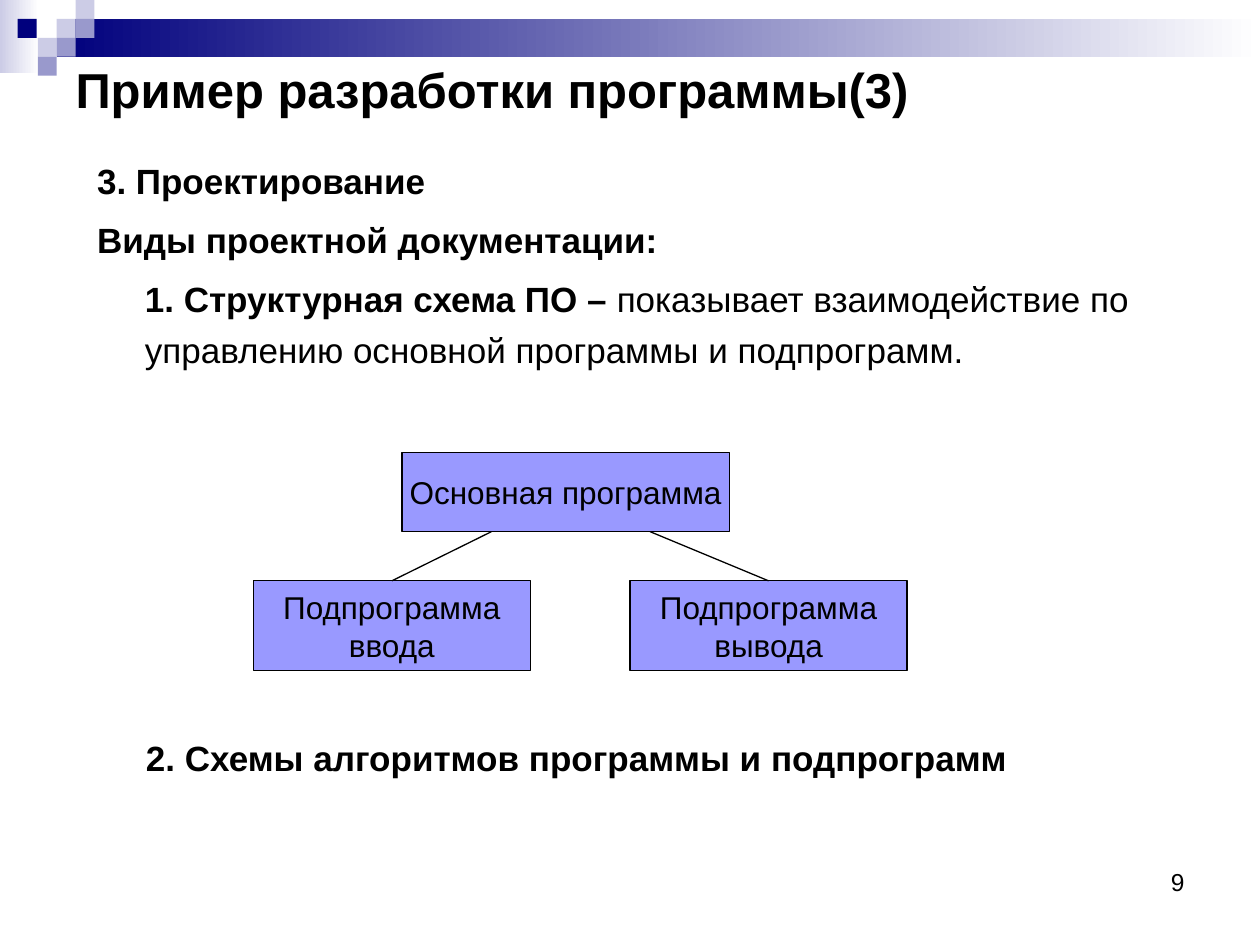
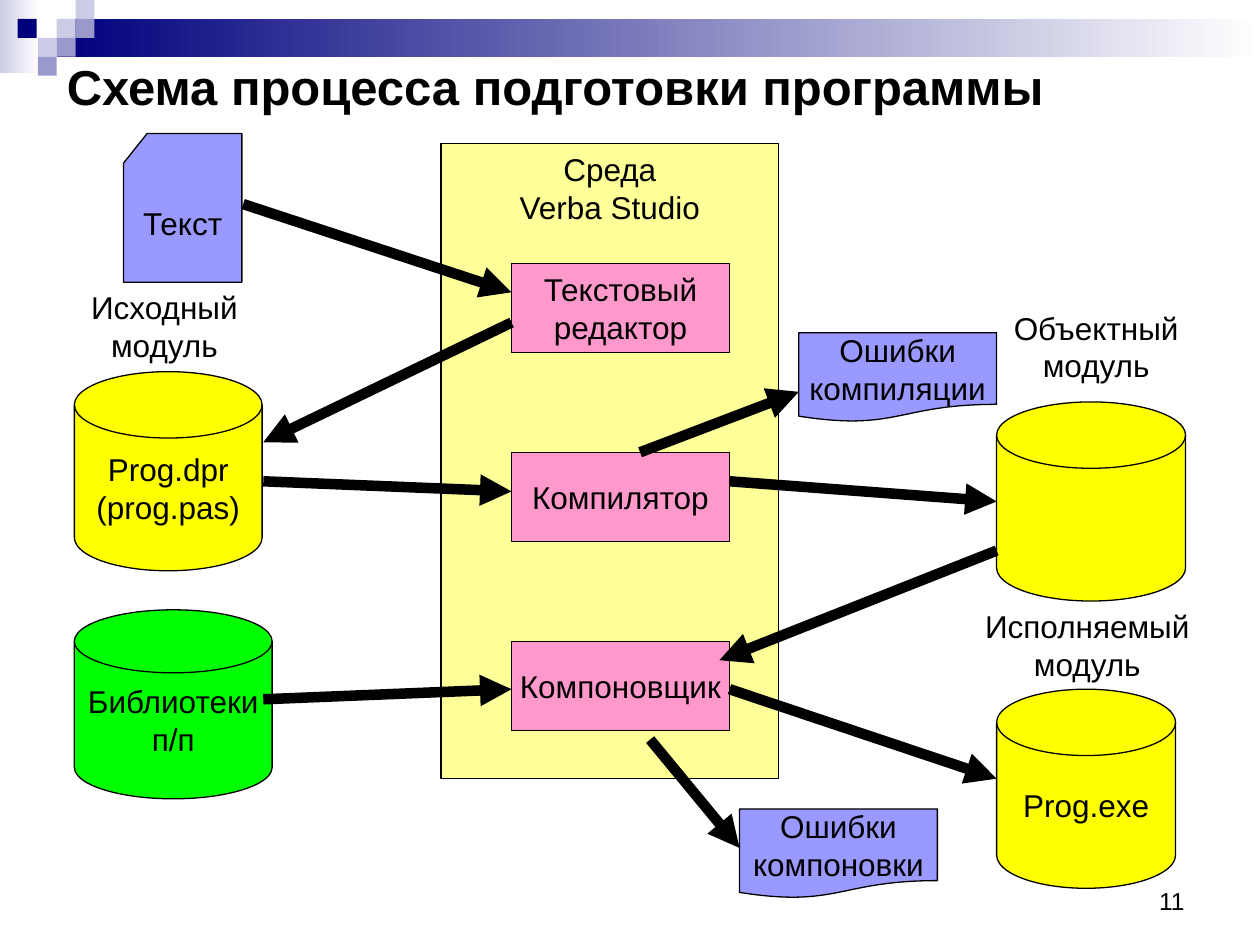
from dataclasses import dataclass

from lxml import etree
from pptx import Presentation
from pptx.dml.color import RGBColor
from pptx.enum.shapes import MSO_CONNECTOR, MSO_SHAPE
from pptx.enum.text import MSO_ANCHOR, MSO_AUTO_SIZE, PP_ALIGN
from pptx.oxml.ns import qn
from pptx.util import Inches, Pt

RECTANGLE = MSO_SHAPE.RECTANGLE
PROCESS = MSO_SHAPE.FLOWCHART_PROCESS
CARD = MSO_SHAPE.FLOWCHART_CARD
DISK = MSO_SHAPE.FLOWCHART_MAGNETIC_DISK
DOCUMENT = MSO_SHAPE.FLOWCHART_DOCUMENT
STRAIGHT = MSO_CONNECTOR.STRAIGHT
TOP, MIDDLE = MSO_ANCHOR.TOP, MSO_ANCHOR.MIDDLE
LEFT, CENTER, RIGHT = PP_ALIGN.LEFT, PP_ALIGN.CENTER, PP_ALIGN.RIGHT
NO_FIT = MSO_AUTO_SIZE.NONE
TITLE_AND_BODY, TITLE_ONLY = 1, 5
TOP_SITE = 0


@dataclass(frozen=True)
class Theme:
    font: str = "Arial"
    ink: str = "000000"
    white: str = "FFFFFF"
    navy: str = "00007D"
    lavender: str = "CCCCE6"
    slate: str = "9999CC"
    periwinkle: str = "9999FF"
    cream: str = "FFFF99"
    pink: str = "FF99CC"
    yellow: str = "FFFF00"
    green: str = "00FF00"
    title_size: int = 28
    body_size: int = 20
    label_size: int = 18
    number_size: int = 14
    thin: float = 0.75
    thick: float = 6


def color(value):
    return RGBColor.from_string(value)


def set_format(target, values):
    for name, value in values.items():
        setattr(target, name, value)


def inches(lengths):
    return [Inches(length) for length in lengths]


class Painter:
    """Holds the deck, its theme and the slide being drawn."""

    def __init__(self, theme):
        self.theme = theme
        self.deck = Presentation()
        set_format(self.deck, {"slide_width": Inches(10), "slide_height": Inches(7.5)})
        self.slide = None

    def start_slide(self, layout, title, place):
        self.slide = self.deck.slides.add_slide(self.deck.slide_layouts[layout])
        box = self.slide.shapes.title
        self.place(box, place)
        self.fill_text(box.text_frame, [title], self.theme.title_size, bold=True, anchor=MIDDLE)

    def place(self, box, place):
        set_format(box, dict(zip(("left", "top", "width", "height"), inches(place))))

    def fill_text(self, frame, lines, size, bold=False, align=LEFT, anchor=TOP,
                  wrap=True, spacing=1.0, gap=0):
        """Fill a frame; a line is a string or a list of (text, bold) spans."""
        set_format(frame, {"auto_size": NO_FIT, "word_wrap": wrap, "vertical_anchor": anchor})
        for index, line in enumerate(lines):
            para = frame.add_paragraph() if index else frame.paragraphs[0]
            set_format(para, {"alignment": align, "line_spacing": spacing,
                              "space_before": Pt(gap if index else 0)})
            for text, is_bold in [(line, bold)] if isinstance(line, str) else line:
                span = para.add_run()
                span.text = text
                set_format(span.font, {"name": self.theme.font, "size": Pt(size), "bold": is_bold})
                span.font.color.rgb = color(self.theme.ink)

    def body(self, lines, indents, place):
        box = self.slide.placeholders[1]
        self.place(box, place)
        self.fill_text(box.text_frame, lines, self.theme.body_size, bold=True, spacing=1.2, gap=5)
        for para, indent in zip(box.text_frame.paragraphs, indents):
            properties = para._p.get_or_add_pPr()
            properties.set("marL", str(Inches(indent)))
            properties.set("indent", "0")
            etree.SubElement(properties, qn("a:buNone"))

    def shape(self, kind, place, fill, lines=(), anchor=MIDDLE):
        shape = self.slide.shapes.add_shape(kind, *inches(place))
        shape.shadow.inherit = False
        shape.fill.solid()
        shape.fill.fore_color.rgb = color(fill)
        shape.line.color.rgb = color(self.theme.ink)
        shape.line.width = Pt(self.theme.thin)
        if lines:
            self.fill_text(shape.text_frame, lines, self.theme.label_size,
                           align=CENTER, anchor=anchor, wrap=False)
        return shape

    def text(self, place, lines, size, **formats):
        box = self.slide.shapes.add_textbox(*inches(place))
        self.fill_text(box.text_frame, lines, size, **formats)

    def page_number(self, number, top):
        self.text((7.17, top, 2.33, 0.52), [number], self.theme.number_size, align=RIGHT)

    def line(self, start, end, width):
        line = self.slide.shapes.add_connector(STRAIGHT, *inches(start + end))
        line.line.color.rgb = color(self.theme.ink)
        line.line.width = Pt(width)
        etree.SubElement(line.element.spPr, qn("a:effectLst"))
        return line

    def arrow(self, start, end):
        line = self.line(start, end, self.theme.thick)
        outline = line.element.spPr.find(qn("a:ln"))
        etree.SubElement(outline, qn("a:tailEnd"), type="triangle")

    def master_band(self):
        """Draw the header band and squares, then move them to the slide master."""
        theme = self.theme
        step = 0.15
        fades = [((0, 0, 0.31, 0.58), theme.lavender), ((0.45, step, 9.55, 0.3), theme.navy)]
        squares = [(0.45, 1, theme.lavender), (0.6, 0, theme.lavender), (0.6, 1, theme.slate),
                   (0.3, 2, theme.lavender), (0.14, 1, theme.navy), (0.45, 2, theme.slate),
                   (0.3, 3, theme.slate)]
        parts = []
        for place, tint in fades:
            fade = self.shape(RECTANGLE, place, tint)
            fade.fill.gradient()
            fade.fill.gradient_angle = 0
            for stop, value in zip(fade.fill.gradient_stops, (tint, theme.white)):
                stop.color.rgb = color(value)
            parts.append(fade)
        for left, row, tint in squares:
            parts.append(self.shape(RECTANGLE, (left, row * step, step, step), tint))
        tree = self.deck.slide_master.shapes.element
        for index, part in enumerate(parts):
            part.line.fill.background()
            part.element.nvSpPr.cNvPr.set("id", str(100 + index))
            tree.insert(2 + index, part.element)


def draw_design_slide(painter):
    theme = painter.theme
    painter.start_slide(TITLE_AND_BODY, "Пример разработки программы(3)", (0.5, 0.5, 9, 0.41))
    painter.master_band()
    painter.body(
        ["3. Проектирование",
         "Виды проектной документации:",
         [("1. Структурная схема ПО – ", True),
          ("показывает взаимодействие по управлению основной программы и подпрограмм.", False)]],
        (0, 0, 0.38), (0.67, 1.15, 9, 2.05))
    painter.shape(RECTANGLE, (3.19, 3.59, 2.6, 0.63), theme.periwinkle, ["Основная программа"])
    for left, purpose, start in ((2.01, "ввода", 3.9), (5, "вывода", 5.16)):
        box = painter.shape(RECTANGLE, (left, 4.61, 2.2, 0.71), theme.periwinkle,
                            ["Подпрограмма", purpose])
        branch = painter.line((start, 4.22), (left + 1.1, 4.61), theme.thin)
        branch.end_connect(box, TOP_SITE)
    painter.text((1.06, 5.8, 7.4, 0.44), ["2. Схемы алгоритмов программы и подпрограмм"],
                 theme.body_size, bold=True)
    painter.page_number("9", 6.83)


def draw_process_slide(painter):
    theme = painter.theme
    painter.start_slide(TITLE_ONLY, "Схема процесса подготовки программы", (0.43, 0.36, 9, 0.64))
    painter.shape(RECTANGLE, (3.5, 1.14, 2.68, 5.04), theme.cream,
                  ["Среда", "Verba Studio"], anchor=TOP)
    tools = (["Текстовый", "редактор"], ["Компилятор"], ["Компоновщик"])
    for index, lines in enumerate(tools):
        painter.shape(PROCESS, (4.06, 2.09 + index * 1.5, 1.73, 0.71), theme.pink, lines)

    files = [
        (CARD, (0.98, 1.06, 0.94, 1.18), theme.periwinkle, ["Текст"]),
        (DISK, (0.59, 2.95, 1.49, 1.58), theme.yellow, ["Prog.dpr", "(prog.pas)"]),
        (DISK, (7.91, 3.19, 1.5, 1.58), theme.yellow, []),
        (DISK, (0.59, 4.84, 1.57, 1.5), theme.green, ["Библиотеки", "п/п"]),
        (DISK, (7.91, 5.47, 1.42, 1.58), theme.yellow, ["Prog.exe"]),
        (DOCUMENT, (6.34, 2.64, 1.57, 0.71), theme.periwinkle, ["Ошибки", "компиляции"]),
        (DOCUMENT, (5.87, 6.42, 1.57, 0.71), theme.periwinkle, ["Ошибки", "компоновки"]),
    ]
    for file in files:
        painter.shape(*file)

    flows = [
        ((1.93, 1.62), (4.06, 2.32)),
        ((4.06, 2.56), (2.09, 3.51)),
        ((2.09, 3.82), (4.06, 3.9)),
        ((5.79, 3.82), (7.91, 3.98)),
        ((5.08, 3.59), (6.34, 3.11)),
        ((5.16, 5.87), (5.87, 6.73)),
        ((5.79, 5.47), (7.91, 6.18)),
        ((2.09, 5.55), (4.06, 5.47)),
        ((7.91, 4.37), (5.71, 5.24)),
    ]
    for start, end in flows:
        painter.arrow(start, end)

    modules = [("Объектный", (7.91, 2.4, 1.58, 0.7)),
               ("Исполняемый", (7.68, 4.77, 1.9, 0.7)),
               ("Исходный", (0.62, 2.24, 1.37, 0.7))]
    for name, place in modules:
        painter.text(place, [name, "модуль"], theme.label_size, align=CENTER, wrap=False)
    painter.page_number("11", 6.98)


def main():
    painter = Painter(Theme())
    draw_design_slide(painter)
    draw_process_slide(painter)
    painter.deck.save("out.pptx")


if __name__ == "__main__":
    main()
